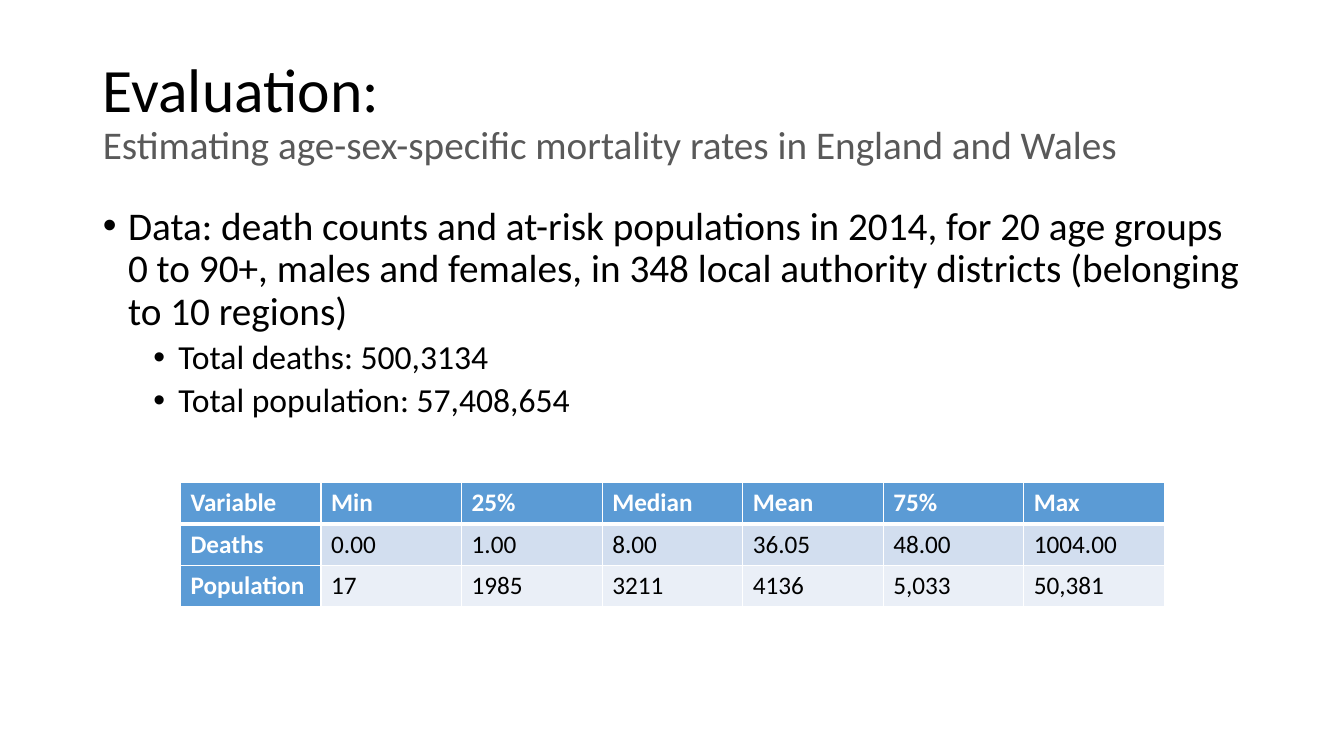
from lxml.etree import SubElement
from pptx import Presentation
from pptx.dml.color import RGBColor
from pptx.enum.text import MSO_ANCHOR as Anchor, MSO_AUTO_SIZE as AutoSize, PP_ALIGN as Align
from pptx.oxml.ns import qn
from pptx.util import Inches, Pt

HEADING = "Evaluation:"
SUBHEADING = "Estimating age-sex-specific mortality rates in England and Wales"
BULLETS = [
    (0, "Data: death counts and at-risk populations in 2014, for 20 age groups "
        "0 to 90+, males and females, in 348 local authority districts "
        "(belonging to 10 regions)"),
    (1, "Total deaths: 500,3134"),
    (1, "Total population: 57,408,654"),
]
SUMMARY = [
    ("Variable", "Min", "25%", "Median", "Mean", "75%", "Max"),
    ("Deaths", "0.00", "1.00", "8.00", "36.05", "48.00", "1004.00"),
    ("Population", "17", "1985", "3211", "4136", "5,033", "50,381"),
]

BLACK = RGBColor(0x00, 0x00, 0x00)
WHITE = RGBColor(0xFF, 0xFF, 0xFF)
GREY = RGBColor(0x59, 0x59, 0x59)
BLUE = RGBColor(0x5B, 0x9B, 0xD5)
BANDS = [RGBColor(0xD2, 0xDE, 0xEF), RGBColor(0xEA, 0xEF, 0xF7)]

WIDTH, HEIGHT = 13.33, 7.5
MARGIN = 0.92
CONTENT_WIDTH = 11.5
TABLE_LEFT, TABLE_TOP, TABLE_WIDTH, ROW_HEIGHT = 1.79, 4.79, 9.76, 0.41
LEVELS = [
    {"size": 28, "before": 10, "indent": 0.25},
    {"size": 24, "before": 5, "indent": 0.75},
]
HANGING = 0.25


def style_font(font, size, color, bold=False):
    values = {"name": "Calibri", "size": Pt(size), "bold": bold}
    for name, value in values.items():
        setattr(font, name, value)
    font.color.rgb = color


def prepare(shape, top, height, anchor):
    place = {"left": MARGIN, "top": top, "width": CONTENT_WIDTH, "height": height}
    for name, value in place.items():
        setattr(shape, name, Inches(value))
    frame = shape.text_frame
    layout = {"word_wrap": True, "auto_size": AutoSize.NONE, "vertical_anchor": anchor}
    for name, value in layout.items():
        setattr(frame, name, value)
    return frame


def add_run(paragraph, text, size, color):
    run = paragraph.add_run()
    run.text = text
    style_font(run.font, size, color)


def format_paragraph(paragraph, before):
    values = {"alignment": Align.LEFT, "line_spacing": 0.9, "space_before": Pt(before)}
    for name, value in values.items():
        setattr(paragraph, name, value)


def add_bullet(paragraph, indent):
    properties = paragraph._p.get_or_add_pPr()
    properties.set("marL", str(Inches(indent)))
    properties.set("indent", str(-Inches(HANGING)))
    SubElement(properties, qn("a:buFont"), typeface="Arial")
    SubElement(properties, qn("a:buChar"), char="•")


def add_borders(cell, bottom, top):
    properties = cell._tc.get_or_add_tcPr()
    for side, width in {"L": 1, "R": 1, "T": top, "B": bottom}.items():
        line = SubElement(properties, qn(f"a:ln{side}"), w=str(Pt(width)))
        fill = SubElement(line, qn("a:solidFill"))
        SubElement(fill, qn("a:srgbClr"), val=str(WHITE))


def fill_title(shape):
    paragraph = prepare(shape, 0.4, 1.45, Anchor.MIDDLE).paragraphs[0]
    format_paragraph(paragraph, 0)
    add_run(paragraph, HEADING, 44, BLACK)
    paragraph.add_line_break()
    add_run(paragraph, SUBHEADING, 28, GREY)


def fill_body(shape):
    frame = prepare(shape, 2, 2.65, Anchor.TOP)
    for index, (level, text) in enumerate(BULLETS):
        paragraph = frame.add_paragraph() if index else frame.paragraphs[0]
        paragraph.level = level
        look = LEVELS[level]
        format_paragraph(paragraph, look["before"])
        add_bullet(paragraph, look["indent"])
        add_run(paragraph, text, look["size"], BLACK)


def add_summary(slide):
    rows, columns = len(SUMMARY), len(SUMMARY[0])
    table = slide.shapes.add_table(
        rows, columns, Inches(TABLE_LEFT), Inches(TABLE_TOP),
        Inches(TABLE_WIDTH), Inches(ROW_HEIGHT * rows)).table
    table.first_col = True
    for row, values in enumerate(SUMMARY):
        for column, text in enumerate(values):
            cell = table.cell(row, column)
            header = row == 0 or column == 0
            add_borders(cell, 3 if row == 0 else 1, 3 if row == 1 else 1)
            cell.fill.solid()
            cell.fill.fore_color.rgb = BLUE if header else BANDS[row - 1]
            cell.text = text
            font = cell.text_frame.paragraphs[0].runs[0].font
            style_font(font, 18, WHITE if header else BLACK, header)


def main():
    presentation = Presentation()
    presentation.slide_width = Inches(WIDTH)
    presentation.slide_height = Inches(HEIGHT)
    slide = presentation.slides.add_slide(presentation.slide_layouts[1])
    fill_title(slide.shapes.title)
    fill_body(slide.placeholders[1])
    add_summary(slide)
    presentation.save("out.pptx")


if __name__ == "__main__":
    main()
